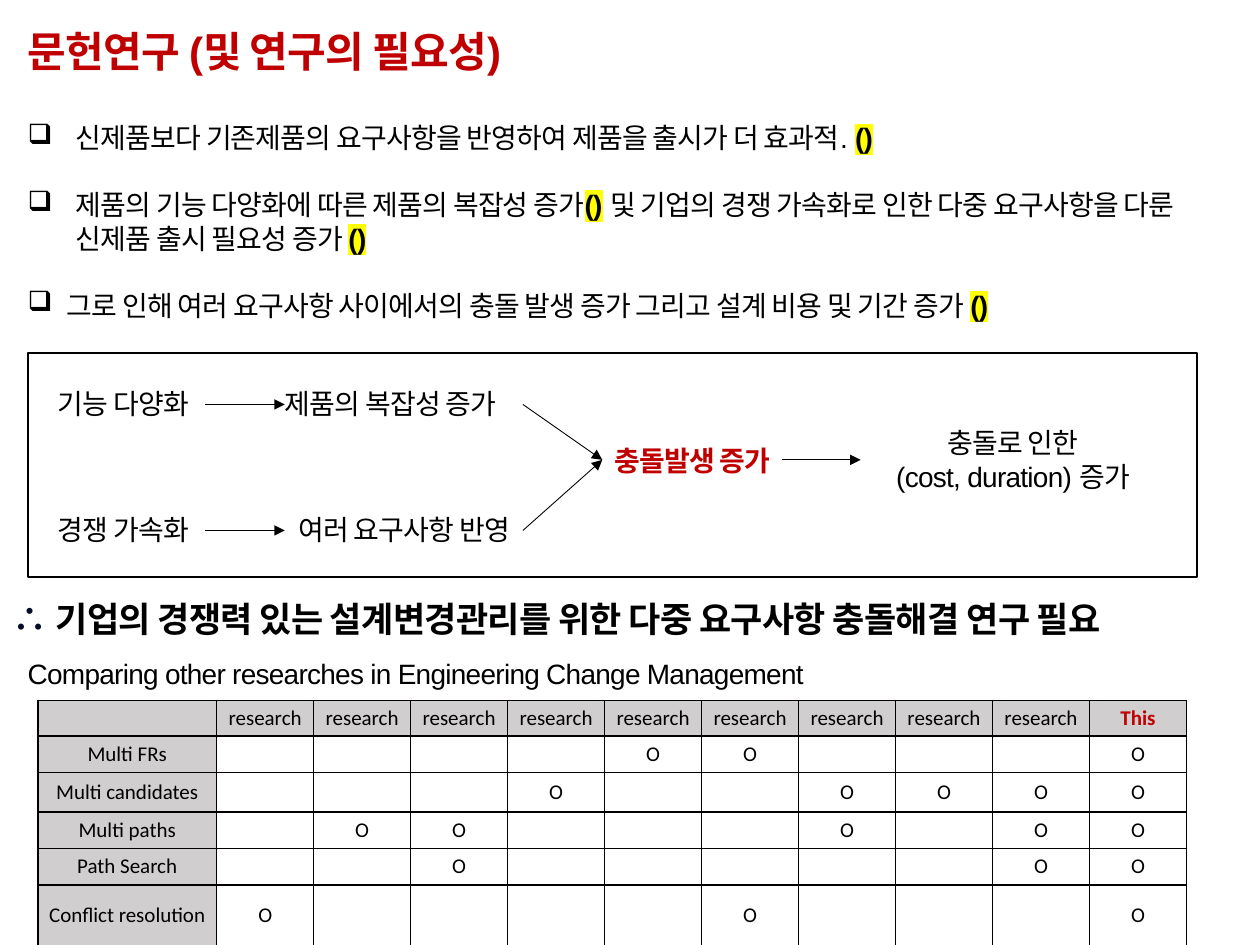
import lxml.etree
import pptx
import pptx.dml.color
import pptx.enum.shapes
import pptx.enum.text
import pptx.oxml
import pptx.oxml.ns
import pptx.util

Inches, Pt = pptx.util.Inches, pptx.util.Pt
ALIGN = pptx.enum.text.PP_ALIGN
ANCHOR = pptx.enum.text.MSO_ANCHOR

COLORS = {"black": "000000", "red": "C00000", "navy": "040C28",
          "yellow": "FFFF00", "gray": "D0CECE", "white": "FFFFFF"}

TITLE = "문헌연구 (및 연구의 필요성)"
CITE = "()"  # highlighted citation gap
# Hanging indent in inches, then the runs of the bullet
BULLETS = [
    (0.38, ["신제품보다 기존제품의 요구사항을 반영하여 제품을 출시가 더 효과적. ", CITE]),
    (0.38, ["제품의 기능 다양화에 따른 제품의 복잡성 증가", CITE,
            " 및 기업의 경쟁 가속화로 인한 다중 요구사항을 다룬 신제품 출시 필요성 증가 ", CITE]),
    (0.31, ["그로 인해 여러 요구사항 사이에서의 충돌 발생 증가 그리고 설계 비용 및 기간 증가 ", CITE]),
]
CONCLUSION = "기업의 경쟁력 있는 설계변경관리를 위한 다중 요구사항 충돌해결 연구 필요"
CAPTION = "Comparing other researches in Engineering Change Management"

# Flow diagram: left, top, width, height, lines, alignment, format
FLOW_FRAME = (0.22, 2.8, 9.28, 1.78)
FLOW_LABELS = [
    (0.46, 3.07, 1.17, 0.27, ["기능 다양화"], ALIGN.LEFT, {}),
    (2.26, 3.07, 1.9, 0.27, ["제품의 복잡성 증가"], ALIGN.LEFT, {}),
    (0.46, 4.07, 1.17, 0.27, ["경쟁 가속화"], ALIGN.LEFT, {}),
    (2.26, 4.07, 1.9, 0.27, ["여러 요구사항 반영"], ALIGN.CENTER, {}),
    (4.78, 3.52, 1.43, 0.27, ["충돌발생 증가"], ALIGN.CENTER, {"color": "red", "bold": True}),
    (6.83, 3.38, 2.42, 0.54, ["충돌로 인한", "(cost, duration) 증가"], ALIGN.CENTER, {}),
]
UPPER, MIDDLE, LOWER = 3.21, 3.65, 4.21
FLOW_ARROWS = [
    (1.63, UPPER, 2.26, UPPER),
    (1.63, LOWER, 2.26, LOWER),
    (4.15, UPPER, 4.78, MIDDLE),
    (4.15, LOWER, 4.78, MIDDLE),
    (6.21, MIDDLE, 6.83, MIDDLE),
]

HEADERS = ["research"] * 9 + ["This"]
# Row name, height, and the columns marked with O
CRITERIA = [
    ("Multi FRs", 0.29, {5, 6, 10}),
    ("Multi candidates", 0.31, {4, 7, 8, 9, 10}),
    ("Multi paths", 0.29, {2, 3, 7, 9, 10}),
    ("Path Search", 0.29, {3, 9, 10}),
    ("Conflict resolution", 0.49, {1, 6, 10}),
]
HEADER_HEIGHT, NAME_WIDTH, MARK_WIDTH = 0.28, 1.42, 0.77


def rgb(name):
    return pptx.dml.color.RGBColor.from_string(COLORS[name])


def add_xml(parent, tag, **attributes):
    return lxml.etree.SubElement(parent, pptx.oxml.ns.qn(tag), attributes)


def add_run(paragraph, text, size=16, color="black", bold=False, name="Arial",
            spacing="-40", highlight=None):
    run = paragraph.add_run()
    run.text = text
    for attribute, value in {"size": Pt(size), "bold": bold, "name": name}.items():
        setattr(run.font, attribute, value)
    run.font.color.rgb = rgb(color)
    properties = run.font._element
    if spacing:
        properties.set("spc", spacing)
    if highlight:
        mark = add_xml(properties, "a:highlight")
        add_xml(mark, "a:srgbClr", val=COLORS[highlight])
        properties.find(pptx.oxml.ns.qn("a:solidFill")).addnext(mark)


def format_frame(frame):
    values = {"margin_left": 0, "margin_top": 0, "margin_right": 0, "margin_bottom": 0,
              "word_wrap": True, "vertical_anchor": ANCHOR.TOP,
              "auto_size": pptx.enum.text.MSO_AUTO_SIZE.NONE}
    for attribute, value in values.items():
        setattr(frame, attribute, value)


def add_text(slide, left, top, width, height, lines, alignment=ALIGN.LEFT):
    """Each line is a list of (text, format) runs."""
    box = slide.shapes.add_textbox(*map(Inches, (left, top, width, height)))
    frame = box.text_frame
    format_frame(frame)
    for index, runs in enumerate(lines):
        paragraph = frame.add_paragraph() if index else frame.paragraphs[0]
        paragraph.alignment = alignment
        for text, style in runs:
            add_run(paragraph, text, **style)
    return frame


def add_title(slide):
    title = slide.shapes.title
    for attribute, value in zip(("left", "top", "width", "height"), (0.22, 0.2, 4.33, 0.4)):
        setattr(title, attribute, Inches(value))
    format_frame(title.text_frame)
    paragraph = title.text_frame.paragraphs[0]
    paragraph.alignment = ALIGN.LEFT
    add_run(paragraph, TITLE, size=24, color="red", bold=True)


def add_bullets(slide):
    cite_style = {"bold": True, "highlight": "yellow"}
    lines = [[(text, cite_style if text == CITE else {}) for text in runs]
             for _, runs in BULLETS]
    frame = add_text(slide, 0.22, 0.96, 9.43, 1.62, lines)
    for paragraph, (indent, _) in zip(frame.paragraphs, BULLETS):
        paragraph.space_after = Pt(19)
        properties = paragraph._p.get_or_add_pPr()
        properties.set("marL", str(Inches(indent)))
        properties.set("indent", str(-Inches(indent)))
        add_xml(properties, "a:buChar", char="❑")


def add_arrow(slide, *ends):
    arrow = slide.shapes.add_connector(
        pptx.enum.shapes.MSO_CONNECTOR.STRAIGHT, *map(Inches, ends))
    arrow.line.color.rgb = rgb("black")
    arrow.line.width = Pt(0.5)
    add_xml(arrow.line._get_or_add_ln(), "a:tailEnd", type="triangle")
    add_xml(arrow._element.spPr, "a:effectLst")


def add_flow(slide):
    frame = slide.shapes.add_shape(
        pptx.enum.shapes.MSO_SHAPE.RECTANGLE, *map(Inches, FLOW_FRAME))
    frame.shadow.inherit = False
    frame.fill.background()
    frame.line.color.rgb = rgb("black")
    frame.line.width = Pt(1)
    for *place, lines, alignment, style in FLOW_LABELS:
        add_text(slide, *place, [[(line, style)] for line in lines], alignment)
    for ends in FLOW_ARROWS:
        add_arrow(slide, *ends)


def fill_cell(cell, text, fill, **style):
    values = {"margin_left": Inches(0.07), "margin_right": Inches(0.07),
              "margin_top": Inches(0.04), "margin_bottom": Inches(0.04),
              "vertical_anchor": ANCHOR.MIDDLE}
    for attribute, value in values.items():
        setattr(cell, attribute, value)
    paragraph = cell.text_frame.paragraphs[0]
    paragraph.alignment = ALIGN.CENTER
    if text:
        add_run(paragraph, text, size=12, name="Calibri", spacing=None, **style)
    else:
        paragraph._p.get_or_add_endParaRPr().set("sz", "1200")
    properties = cell._tc.get_or_add_tcPr()
    for side in ("a:lnL", "a:lnR", "a:lnT", "a:lnB"):
        border = add_xml(properties, side, w=str(Pt(1)))
        add_xml(add_xml(border, "a:solidFill"), "a:srgbClr", val=COLORS["black"])
    cell.fill.solid()
    cell.fill.fore_color.rgb = rgb(fill)


def add_comparison(slide):
    columns = len(HEADERS) + 1
    heights = [HEADER_HEIGHT] + [height for _, height, _ in CRITERIA]
    widths = [NAME_WIDTH] + [MARK_WIDTH] * len(HEADERS)
    table = slide.shapes.add_table(
        len(heights), columns, Inches(0.3), Inches(5.56),
        Inches(sum(widths)), Inches(sum(heights))).table
    table.first_row = table.horz_banding = False
    for column, width in zip(table.columns, widths):
        column.width = Inches(width)
    for row, height in zip(table.rows, heights):
        row.height = Inches(height)
    rows = [[""] + HEADERS] + [
        [name] + ["O" if column in marks else "" for column in range(1, columns)]
        for name, _, marks in CRITERIA]
    for row, texts in enumerate(rows):
        for column, text in enumerate(texts):
            fill = "gray" if row == 0 or column == 0 else "white"
            style = {"color": "red", "bold": True} if text == "This" else {}
            fill_cell(table.cell(row, column), text, fill, **style)


def main():
    presentation = pptx.Presentation()
    presentation.slide_width, presentation.slide_height = Inches(10), Inches(7.5)
    slide = presentation.slides.add_slide(presentation.slide_layouts.get_by_name("Title Only"))
    add_title(slide)
    add_bullets(slide)
    add_flow(slide)
    heading = {"size": 20, "bold": True}
    add_text(slide, 0.1, 4.74, 9.9, 0.34, [[
        ("∴ ", {**heading, "color": "navy", "spacing": None}), (CONCLUSION, heading)]])
    add_text(slide, 0.22, 5.21, 6.39, 0.27, [[(CAPTION, {})]])
    add_comparison(slide)
    presentation.save("out.pptx")


if __name__ == "__main__":
    main()
